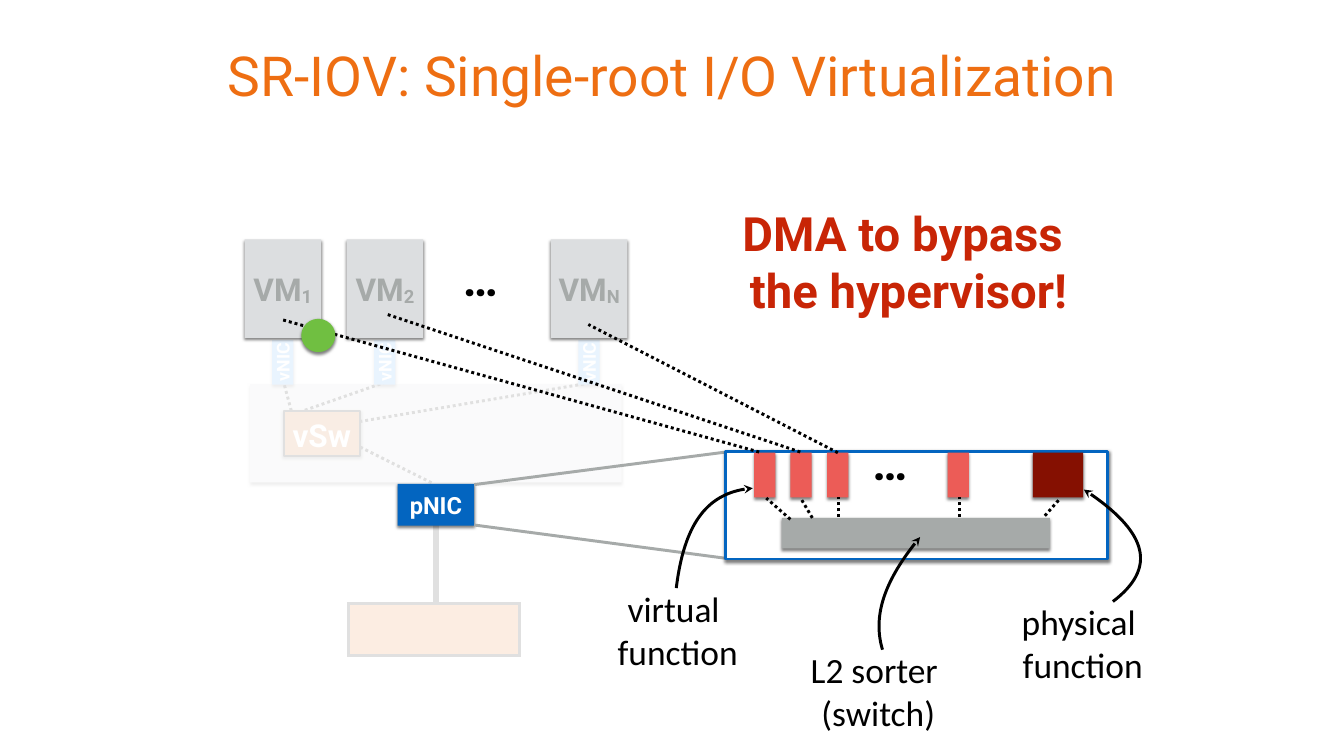
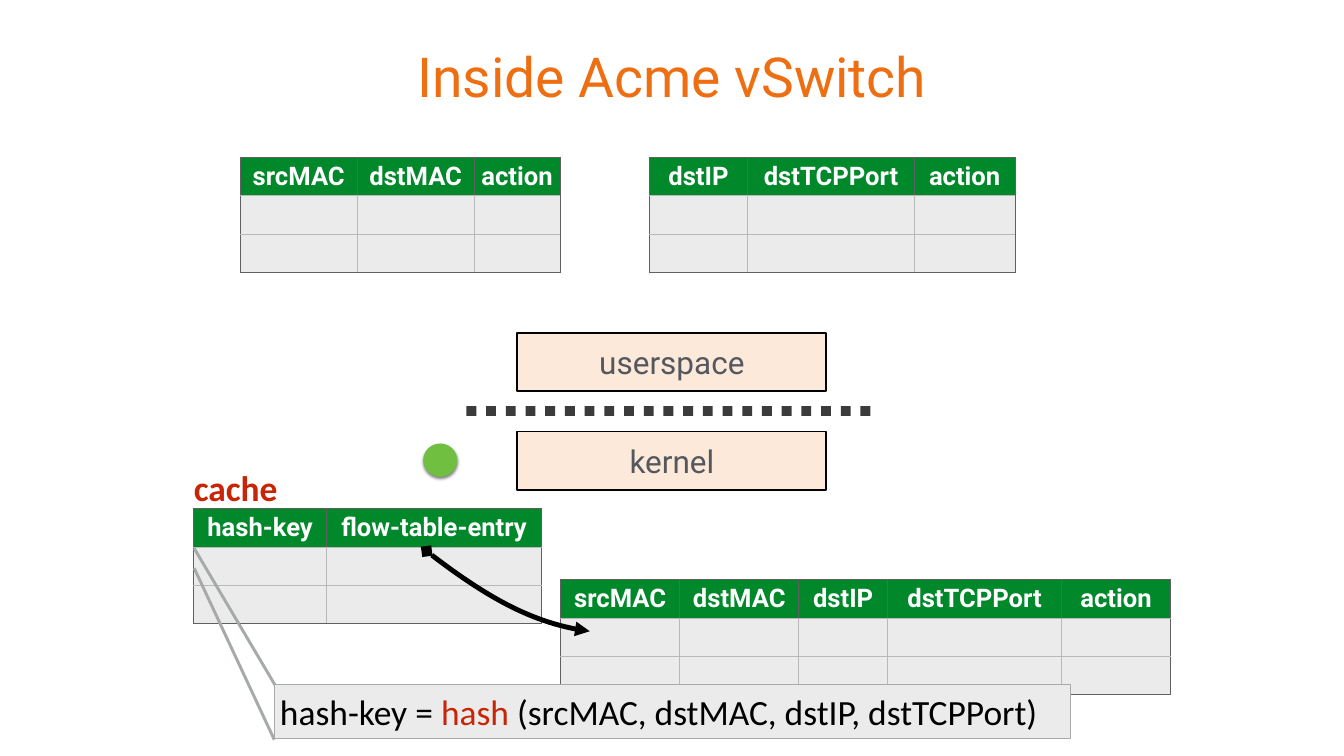
"""Build two slides on SR-IOV and the inside of a virtual switch."""
from dataclasses import dataclass
from typing import Optional, Sequence

from lxml import etree
from pptx import Presentation
from pptx.dml.color import RGBColor
from pptx.enum.dml import MSO_LINE
from pptx.enum.shapes import MSO_CONNECTOR, MSO_SHAPE
from pptx.enum.text import MSO_ANCHOR, MSO_AUTO_SIZE, PP_ALIGN
from pptx.oxml.ns import qn
from pptx.shapes.base import BaseShape
from pptx.slide import Slide
from pptx.text.text import TextFrame
from pptx.util import Inches, Pt

RECT, OVAL = MSO_SHAPE.RECTANGLE, MSO_SHAPE.OVAL
STRAIGHT, DOTS = MSO_CONNECTOR.STRAIGHT, MSO_LINE.ROUND_DOT
LEFT, CENTER, MIDDLE = PP_ALIGN.LEFT, PP_ALIGN.CENTER, MSO_ANCHOR.MIDDLE
GROW, FIXED = MSO_AUTO_SIZE.SHAPE_TO_FIT_TEXT, MSO_AUTO_SIZE.NONE
TITLE_ONLY = 5

Point = tuple[float, float]
Area = tuple[float, float, float, float]


@dataclass(frozen=True)
class Theme:
    """Colours, fonts and type sizes of the deck."""
    head_font: str = "Roboto"
    note_font: str = "Calibri"
    black: str = "000000"
    white: str = "FFFFFF"
    title: str = "EE6E12"
    switch: str = "DE6A10"
    layer: str = "F87816"
    layer_text: str = "53585F"
    panel: str = "DCDEE0"
    gray: str = "A6AAA9"
    vnic: str = "51A8F9"
    pnic: str = "0365C0"
    virtual: str = "EC5C57"
    physical: str = "851001"
    accent: str = "C82506"
    packet: str = "70BF41"
    header: str = "00882B"
    cell: str = "EBEBEB"
    outer: str = "606060"
    inner: str = "B8B8B8"
    title_size: int = 56
    big_size: int = 48
    note_size: int = 36
    box_size: int = 32
    header_size: int = 26
    nic_size: int = 24
    small_size: int = 18


T = Theme()


@dataclass(frozen=True)
class Run:
    """A stretch of text in one style."""
    text: str
    size: int
    color: str = T.black
    font: str = T.head_font
    bold: bool = False
    baseline: int = 0


@dataclass(frozen=True)
class Grid:
    """A table with a header row and two empty rows."""
    left: float
    top: float
    heads: tuple[str, ...]
    widths: tuple[float, ...]


@dataclass(frozen=True)
class Curve:
    """A cubic curve with its arrowheads."""
    points: tuple[Point, ...]
    tail: str = "stealth"
    head: str = ""
    width: float = 3


@dataclass(frozen=True)
class Note:
    """A two-line caption and the curve that leads from it."""
    area: Area
    lines: tuple[str, str]
    curve: Curve


def rgb(color: str) -> RGBColor:
    """Turn a hex string into a colour."""
    return RGBColor.from_string(color)


def fade(sp: BaseShape, percent: int) -> None:
    """Give every colour set so far on a shape the same opacity."""
    for clr in sp._element.spPr.iter(qn("a:srgbClr")):
        etree.SubElement(clr, qn("a:alpha"), val=str(percent * 1000))


def add_shadow(sp: BaseShape) -> None:
    """Add the soft shadow below a shape."""
    effects = sp._element.spPr.find(qn("a:effectLst"))
    shadow = etree.SubElement(effects, qn("a:outerShdw"), blurRad=str(Pt(3)), dist=str(Pt(2)),
                              dir="5400000", rotWithShape="0")
    clr = etree.SubElement(shadow, qn("a:srgbClr"), val=T.black)
    etree.SubElement(clr, qn("a:alpha"), val="50000")


def write(tf: TextFrame, *paragraphs: Sequence[Run], inset: float = 0.06,
          align: PP_ALIGN = CENTER) -> None:
    """Fill a text frame with paragraphs, run by run."""
    tf.vertical_anchor = MIDDLE
    tf.margin_left = tf.margin_right = tf.margin_top = tf.margin_bottom = Inches(inset)
    for i, runs in enumerate(paragraphs):
        p = tf.add_paragraph() if i else tf.paragraphs[0]
        p.alignment = align
        for run in runs:
            r = p.add_run()
            r.text = run.text
            r.font.name, r.font.size, r.font.bold = run.font, Pt(run.size), run.bold
            r.font.color.rgb = rgb(run.color)
            if run.baseline:
                r._r.get_or_add_rPr().set("baseline", str(run.baseline * 1000))


def add_box(s: Slide, area: Area, fill: str, *runs: Run, line: str = "", width: float = 2,
            shadow: bool = True, opacity: int = 100, kind: MSO_SHAPE = RECT) -> BaseShape:
    """Draw a filled shape with an optional line of text."""
    sp = s.shapes.add_shape(kind, *map(Inches, area))
    sp.fill.solid()
    sp.fill.fore_color.rgb = rgb(fill)
    if opacity < 100:
        fade(sp, opacity)
    if line:
        sp.line.color.rgb, sp.line.width = rgb(line), Pt(width)
    else:
        sp.line.fill.background()
    sp.shadow.inherit = False
    if shadow:
        add_shadow(sp)
    if runs:
        write(sp.text_frame, runs)
    return sp


def add_text(s: Slide, area: Area, *paragraphs: Sequence[Run], inset: float = 0.06) -> BaseShape:
    """Add an unwrapped text box that grows with its text."""
    sp = s.shapes.add_textbox(*map(Inches, area))
    sp.text_frame.word_wrap = False
    sp.text_frame.auto_size = GROW
    write(sp.text_frame, *paragraphs, inset=inset)
    return sp


def add_line(s: Slide, start: Point, end: Point, color: str = T.black, width: float = 3,
             dash: Optional[MSO_LINE] = None) -> BaseShape:
    """Draw a straight line without a shadow."""
    cn = s.shapes.add_connector(STRAIGHT, *map(Inches, start + end))
    cn.line.color.rgb, cn.line.width = rgb(color), Pt(width)
    if dash:
        cn.line.dash_style = dash
    etree.SubElement(cn._element.spPr, qn("a:effectLst"))
    return cn


def add_curve(s: Slide, curve: Curve) -> None:
    """Draw a cubic curve with arrowheads."""
    start, *others = [(Inches(x), Inches(y)) for x, y in curve.points]
    builder = s.shapes.build_freeform(*start)
    builder.add_line_segments(others, close=False)
    sp = builder.convert_to_shape()
    outline = next(sp._element.iter(qn("a:path")))
    bezier = etree.SubElement(outline, qn("a:cubicBezTo"))
    for segment in outline.findall(qn("a:lnTo")):
        bezier.append(segment[0])
        outline.remove(segment)
    sp.fill.background()
    sp.line.color.rgb, sp.line.width = rgb(T.black), Pt(curve.width)
    sp.shadow.inherit = False
    ln = sp._element.spPr.find(qn("a:ln"))
    for tag, kind in (("a:headEnd", curve.head), ("a:tailEnd", curve.tail)):
        if kind:
            etree.SubElement(ln, qn(tag), type=kind)


def paint_cell(cell, fill: str, borders: Sequence[str], width: float = 1) -> None:
    """Set a cell's fill and its left, right, top and bottom borders."""
    cell.fill.solid()
    cell.fill.fore_color.rgb = rgb(fill)
    tc_pr = cell._tc.get_or_add_tcPr()
    for i, (side, color) in enumerate(zip("LRTB", borders)):
        ln = etree.Element(qn(f"a:ln{side}"), w=str(Pt(width)))
        solid = etree.SubElement(ln, qn("a:solidFill"))
        etree.SubElement(solid, qn("a:srgbClr"), val=color)
        tc_pr.insert(i, ln)


def add_grid(s: Slide, grid: Grid, rows: int = 3, row_height: float = 0.54) -> None:
    """Draw a flow table."""
    last = len(grid.heads) - 1
    area = (grid.left, grid.top, sum(grid.widths), rows * row_height)
    table = s.shapes.add_table(rows, last + 1, *map(Inches, area)).table
    for c, (head, width) in enumerate(zip(grid.heads, grid.widths)):
        table.columns[c].width = Inches(width)
        for r in range(rows):
            outside = (c == 0, c == last, False, r == rows - 1)
            borders = [T.outer if r == 0 or edge else T.inner for edge in outside]
            paint_cell(table.cell(r, c), T.cell if r else T.header, borders)
        cell = table.cell(0, c)
        write(cell.text_frame, [Run(head, T.header_size, T.white, bold=True)])
        cell.vertical_anchor = MIDDLE
        cell.margin_left = cell.margin_right = Inches(0.06)
        cell.margin_top = cell.margin_bottom = Inches(0.06)


def add_slide(prs: Presentation, title: str, area: Area) -> Slide:
    """Add a slide with the shared title style."""
    s = prs.slides.add_slide(prs.slide_layouts[TITLE_ONLY])
    sp = s.shapes.title
    sp.left, sp.top, sp.width, sp.height = map(Inches, area)
    sp.text_frame.auto_size = FIXED
    write(sp.text_frame, [Run(title, T.title_size, T.title)])
    return s


def add_packet(s: Slide, left: float, top: float) -> None:
    """Draw the green packet dot."""
    add_box(s, (left, top, 0.48, 0.47), T.packet, kind=OVAL)


def build_sriov(prs: Presentation) -> None:
    """Build the SR-IOV slide."""
    s = add_slide(prs, "SR-IOV: Single-root I/O Virtualization", (2.55, 0.08, 13.87, 1.93))
    vms = {label: 3.45 + 1.44 * i for label, i in (("1", 0), ("2", 1), ("N", 3))}
    dots = [Run("…", T.big_size, bold=True)]

    add_line(s, (6.15, 8.59), (6.15, 7.05), width=6)
    wire = s.shapes.add_table(1, 1, *map(Inches, (4.92, 8.52, 2.41, 0.73))).table
    paint_cell(wire.cell(0, 0), T.title, [T.black] * 4, 3)
    add_box(s, (3.53, 5.42, 5.24, 1.39), T.panel)
    for start, end in (((4.11, 5.8), (4, 5.39)), ((4.3, 5.79), (5.42, 5.4)),
                       ((5.07, 5.95), (8.35, 5.4)), ((5.08, 6.31), (6.12, 6.83))):
        add_line(s, start, end, dash=DOTS)
    add_box(s, (4, 5.8, 1.08, 0.63), T.switch, line=T.black, opacity=83)
    for left in vms.values():
        add_box(s, (left + 0.39, 4.8, 0.3, 0.63), T.vnic)
    add_box(s, (3, 3.05, 6.3, 6.58), T.white, shadow=False, opacity=88)

    add_box(s, (5.61, 6.83, 1.08, 0.59), T.pnic, Run("pNIC", T.nic_size, T.white, bold=True))
    add_line(s, (6.69, 6.84), (10.24, 6.38), T.gray)
    add_line(s, (6.69, 7.41), (10.24, 7.88), T.gray)
    add_box(s, (10.24, 6.37, 5.39, 1.52), T.white, line=T.pnic, width=3)
    for left in (10.64, 11.15, 11.67, 13.37):
        add_box(s, (left, 6.39, 0.3, 0.63), T.virtual)
    add_text(s, (12.16, 6.06, 0.79, 0.92), dots)
    add_box(s, (14.57, 6.39, 0.71, 0.63), T.physical)
    add_box(s, (11.03, 7.31, 3.78, 0.43), T.gray)
    for note in (
        Note((8.65, 8.23, 1.82, 1.32), ("virtual ", "function"),
             Curve(((9.54, 8.3), (9.65, 7.4), (10.01, 6.93), (10.62, 6.89)))),
        Note((14.34, 8.41, 1.87, 1.32), ("physical ", "function"),
             Curve(((15.7, 8.49), (16.32, 8.02), (16.18, 7.49), (15.29, 6.91)))),
        Note((11.37, 9.09, 2.04, 1.32), ("L2 sorter ", "(switch)"),
             Curve(((12.45, 9.17), (12.31, 8.7), (12.49, 8.17), (12.98, 7.58)))),
    ):
        add_text(s, note.area, *([Run(t, T.note_size, font=T.note_font)] for t in note.lines))
        add_curve(s, note.curve)
    for start, end in (((11.15, 7.33), (10.81, 7.03)), ((11.46, 7.31), (11.3, 7.04)),
                       ((11.83, 7.3), (11.83, 7)), ((13.54, 7.3), (13.54, 7)),
                       ((14.74, 7.28), (14.96, 7.03))):
        add_line(s, start, end, dash=DOTS)

    for label, left in vms.items():
        add_box(s, (left, 3.38, 1.08, 1.39), T.panel, Run("VM", T.box_size, T.gray, bold=True),
                Run(label, T.box_size, T.gray, bold=True, baseline=-6))
        nic = add_text(s, (left + 0.19, 4.9, 0.69, 0.42),
                       [Run("vNIC", T.small_size, T.white, bold=True)])
        nic.rotation = 270
    add_text(s, (6.38, 3.46, 0.79, 0.92), dots)
    add_text(s, (4.05, 5.82, 0.98, 0.64), [Run("vSw", T.box_size, T.white, bold=True)])
    for start, end in (((10.71, 6.38), (3.97, 4.51)), ((11.29, 6.38), (5.44, 4.43)),
                       ((11.82, 6.39), (8.3, 4.58))):
        add_line(s, start, end, dash=DOTS)
    add_text(s, (10.15, 2.8, 5.17, 1.77), *([Run(t, T.big_size, T.accent, bold=True)]
             for t in ("DMA to bypass", " the hypervisor!")), inset=0.08)
    add_packet(s, 4.25, 4.5)


def build_vswitch(prs: Presentation) -> None:
    """Build the virtual switch slide."""
    s = add_slide(prs, "Inside Acme vSwitch", (2.77, 0.1, 13.42, 1.93))
    for label, top in (("userspace", 4.7), ("kernel", 6.09)):
        add_box(s, (7.3, top, 4.36, 0.82), T.layer, Run(label, T.box_size, T.layer_text),
                line=T.black, shadow=False, opacity=16)
    fade(add_line(s, (6.58, 5.8), (12.38, 5.8), width=10, dash=DOTS), 76)
    add_packet(s, 5.97, 6.26)
    for grid in (
        Grid(3.39, 2.22, ("srcMAC", "dstMAC", "action"), (1.65, 1.65, 1.21)),
        Grid(9.16, 2.22, ("dstIP", "dstTCPPort", "action"), (1.39, 2.35, 1.42)),
        Grid(7.91, 8.18, ("srcMAC", "dstMAC", "dstIP", "dstTCPPort", "action"),
             (1.68, 1.68, 1.25, 2.46, 1.53)),
        Grid(2.73, 7.18, ("hash-key", "flow-table-entry"), (1.88, 3.03)),
    ):
        add_grid(s, grid)
    add_curve(s, Curve(((6.02, 7.78), (6.88, 8.45), (7.64, 8.83), (8.32, 8.91)),
                       "triangle", "diamond", 5))
    add_text(s, (2.67, 6.52, 1.31, 0.72), [Run("cache", T.note_size, T.accent, T.note_font, True)])
    add_line(s, (2.74, 8.02), (3.87, 10.44), T.gray)
    add_line(s, (2.74, 7.74), (3.91, 9.72), T.gray)
    sp = add_box(s, (3.87, 9.66, 11.23, 0.77), T.cell, line=T.gray, width=1, shadow=False)
    sp.text_frame.word_wrap = True
    parts = (("hash-key = ", T.black), ("hash", T.accent),
             (" (srcMAC, dstMAC, dstIP, dstTCPPort)", T.black))
    write(sp.text_frame, [Run(t, T.note_size, c, T.note_font) for t, c in parts],
          inset=0.08, align=LEFT)


def main() -> None:
    """Build and save the deck."""
    prs = Presentation()
    prs.slide_width, prs.slide_height = Inches(18.96), Inches(10.67)
    build_sriov(prs)
    build_vswitch(prs)
    prs.save("out.pptx")


if __name__ == "__main__":
    main()
